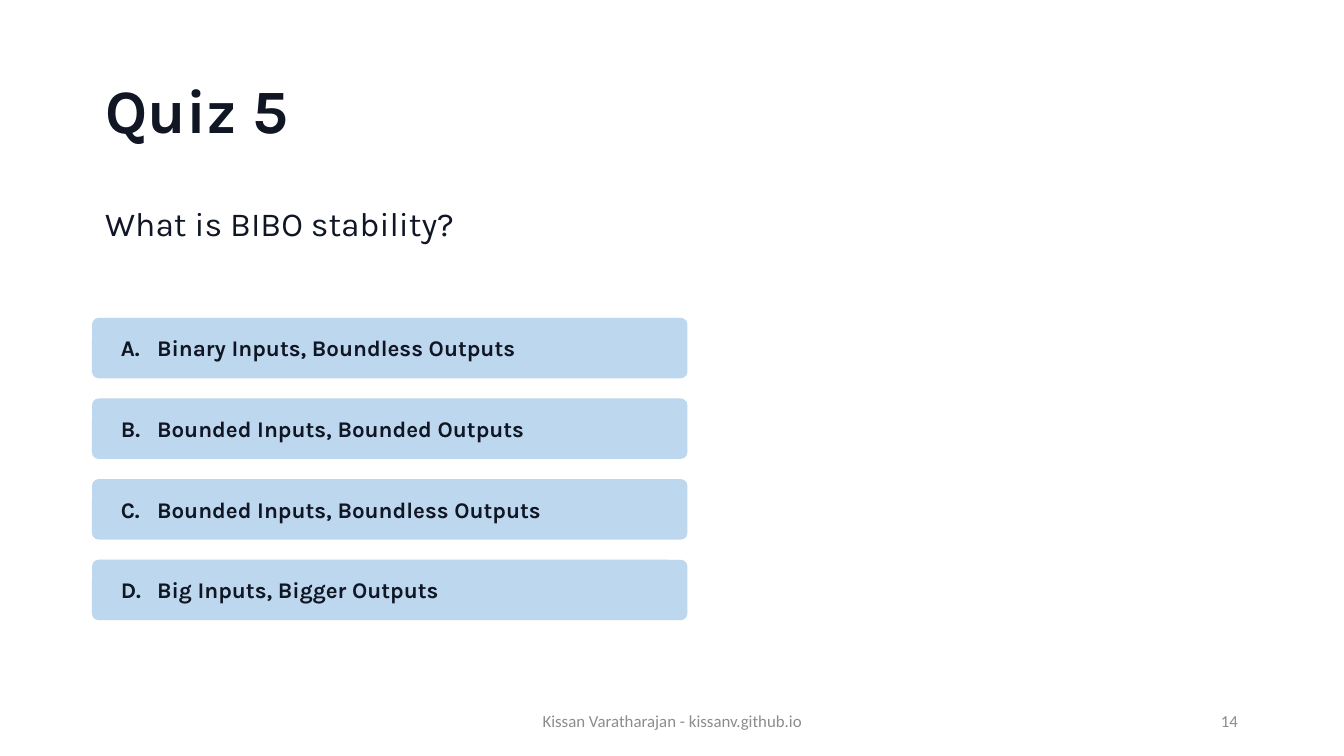
from lxml.etree import SubElement
from pptx import Presentation
from pptx.dml.color import RGBColor
from pptx.enum.shapes import MSO_SHAPE
from pptx.enum.text import MSO_ANCHOR, MSO_AUTO_SIZE, PP_ALIGN
from pptx.oxml.ns import qn
from pptx.util import Pt

PX = 4572  # 200 px to the inch
C = {"ink": "101623", "answer": "BDD7EE", "footer": "8C8C8D"}
TITLE = {"name": "Karla", "size": Pt(33), "bold": True}
QUESTION = {"name": "Karla", "size": Pt(18), "bold": False}
ANSWER = {"name": "Karla", "size": Pt(12), "bold": True}
FOOTER = {"name": "Calibri", "size": Pt(9), "bold": False}


def box(*lengths):
    return [n * PX for n in lengths]


def write(sp, text, fmt, color, align=PP_ALIGN.LEFT, anchor=MSO_ANCHOR.MIDDLE, spacing=1.0, tab=None):
    tf = sp.text_frame
    tf.word_wrap = True
    tf.auto_size = MSO_AUTO_SIZE.NONE
    tf.vertical_anchor = anchor
    p = tf.paragraphs[0]
    p.alignment = align
    p.line_spacing = spacing
    if tab:
        tabs = SubElement(p._p.get_or_add_pPr(), qn("a:tabLst"))
        SubElement(tabs, qn("a:tab"), pos=str(tab * PX), algn="l")
    r = p.add_run()
    r.text = text
    for key, value in fmt.items():
        setattr(r.font, key, value)
    r.font.color.rgb = RGBColor.from_string(C[color])


prs = Presentation()
prs.slide_width, prs.slide_height = box(2000, 1125)
s = prs.slides.add_slide(prs.slide_layouts[5])

# Title
sp = s.shapes.title
sp.left, sp.top, sp.width, sp.height = box(137, 60, 1725, 217)
write(sp, "Quiz 5", TITLE, "ink", spacing=0.9)

# Question
sp = s.shapes.add_textbox(*box(137, 299, 1725, 714))
write(sp, "What is BIBO stability?", QUESTION, "ink", anchor=MSO_ANCHOR.TOP, spacing=0.9)

# Footer and slide number
for text, left, width, align in [
    ("Kissan Varatharajan - kissanv.github.io", 662, 676, PP_ALIGN.CENTER),
    ("14", 1412, 450, PP_ALIGN.RIGHT),
]:
    sp = s.shapes.add_textbox(*box(left, 1043, width, 60))
    write(sp, text, FOOTER, "footer", align)

# Answers
answers = [
    "Binary Inputs, Boundless Outputs",
    "Bounded Inputs, Bounded Outputs",
    "Bounded Inputs, Boundless Outputs",
    "Big Inputs, Bigger Outputs",
]
for i, (letter, answer) in enumerate(zip("ABCD", answers)):
    sp = s.shapes.add_shape(MSO_SHAPE.ROUNDED_RECTANGLE, *box(137, 473 + 120 * i, 886, 90))
    sp.adjustments[0] = 0.11
    sp.shadow.inherit = False
    sp.fill.solid()
    sp.fill.fore_color.rgb = RGBColor.from_string(C["answer"])
    sp.line.fill.background()
    sp.text_frame.margin_left = 40 * PX
    write(sp, f"{letter}.\t{answer}", ANSWER, "ink", tab=54)

prs.save("out.pptx")
